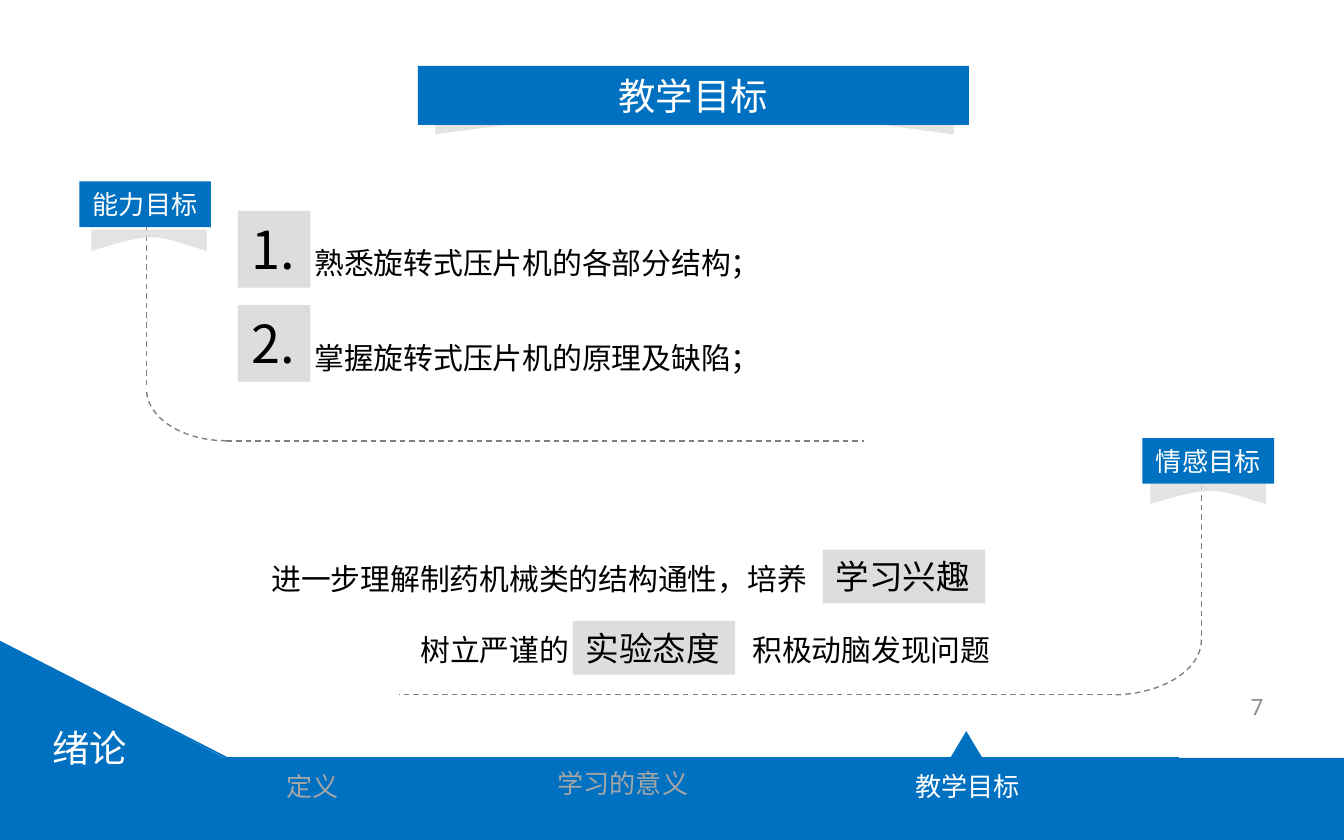
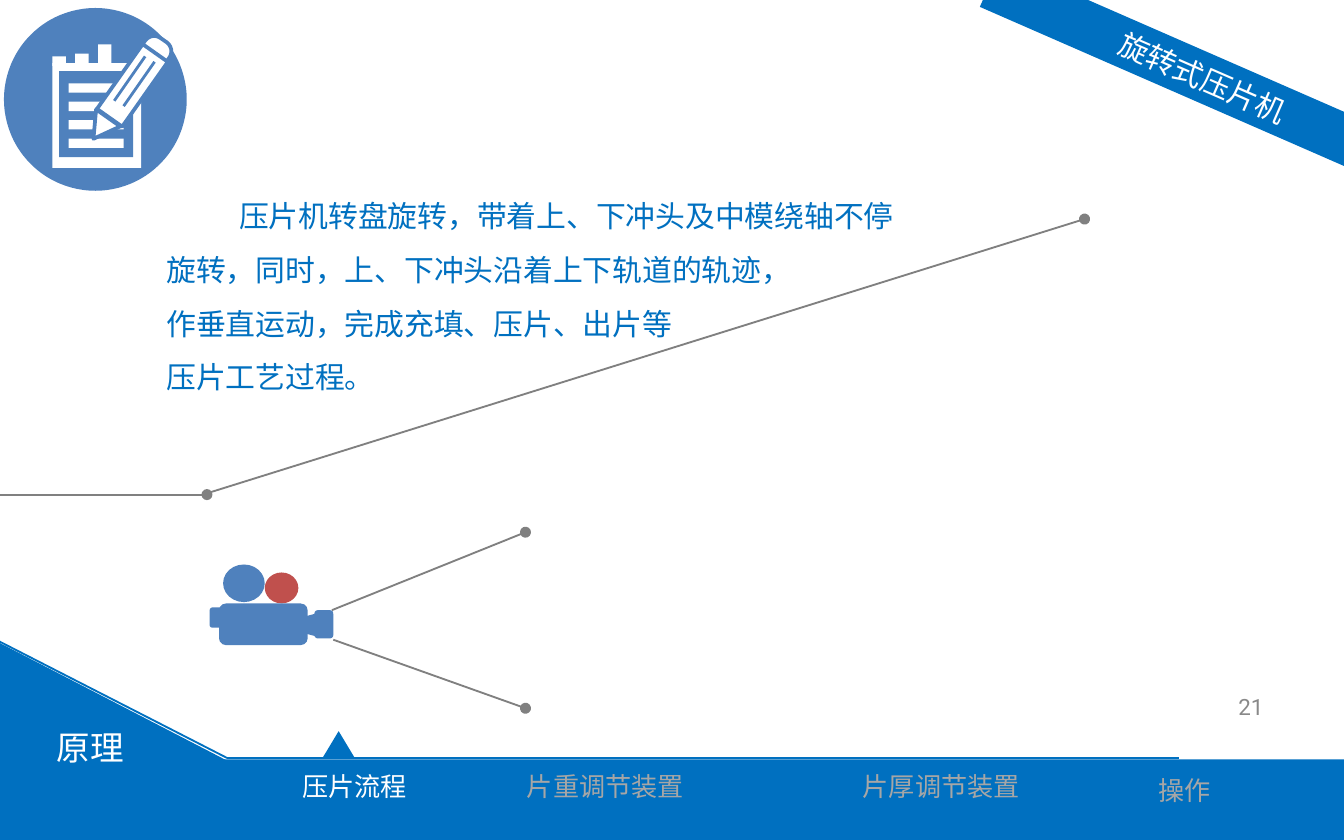
from dataclasses import dataclass
from typing import NamedTuple

from lxml import etree
from pptx import Presentation
from pptx.dml.color import RGBColor
from pptx.enum.dml import MSO_LINE
from pptx.enum.shapes import MSO_CONNECTOR, MSO_SHAPE
from pptx.enum.text import MSO_ANCHOR, MSO_AUTO_SIZE, PP_ALIGN
from pptx.oxml.ns import qn
from pptx.util import Inches, Pt

SLIDE_W, SLIDE_H = Inches(10), Inches(6.25)
COLUMNS = 100  # square grid: 100 columns by 62.5 rows
CELL = SLIDE_W / COLUMNS

BLUE = RGBColor(0x00, 0x70, 0xC0)
ICON_BLUE = RGBColor(0x4F, 0x81, 0xBD)
ICON_RED = RGBColor(0xC0, 0x50, 0x4D)
WHITE = RGBColor(0xFF, 0xFF, 0xFF)
BLACK = RGBColor(0x00, 0x00, 0x00)
PALE = RGBColor(0xDD, 0xDD, 0xDD)
MUTED = RGBColor(0xA6, 0xA6, 0xA6)
PAGE_GRAY = RGBColor(0x89, 0x89, 0x89)
LINE_GRAY = RGBColor(0x80, 0x80, 0x80)

ROBOTO, NOTO = "Roboto", "Noto Sans CJK SC"
LEFT, CENTER, RIGHT = PP_ALIGN.LEFT, PP_ALIGN.CENTER, PP_ALIGN.RIGHT
TOP, MIDDLE = MSO_ANCHOR.TOP, MSO_ANCHOR.MIDDLE
FIT, DASH, STRAIGHT = MSO_AUTO_SIZE.SHAPE_TO_FIT_TEXT, MSO_LINE.DASH, MSO_CONNECTOR.STRAIGHT
RECT, OVAL, ROUND = MSO_SHAPE.RECTANGLE, MSO_SHAPE.OVAL, MSO_SHAPE.ROUNDED_RECTANGLE
TRIANGLE, ARC = MSO_SHAPE.ISOSCELES_TRIANGLE, MSO_SHAPE.ARC

PENCIL_TILT = 215.2
QUARTER = 54.0  # 90 degrees in adjustment units


class Box(NamedTuple):
    left: float
    top: float
    width: float
    height: float


class Point(NamedTuple):
    x: float
    y: float


class Style(NamedTuple):
    size: float
    color: RGBColor
    font: str = ROBOTO
    align: PP_ALIGN = LEFT
    spacing: float | None = None


class Tab(NamedTuple):
    text: str
    left: float
    top: float
    width: float


@dataclass
class Footer:
    section: str
    section_size: float
    tabs: list[Tab]
    active: int
    marker_left: float
    page: str
    top: float


BODY = Style(16, BLACK)
KEYWORD = Style(18, BLACK)
NUMBER = Style(28, BLACK, NOTO)
TITLE = Style(20, WHITE, NOTO, CENTER)
TAG = Style(14, WHITE, NOTO, CENTER)
RIBBON = Style(16, WHITE, NOTO, CENTER)
PROSE = Style(16, BLUE, spacing=1.5)


def u(cells: float) -> int:
    """Grid cells to EMU."""
    return round(cells * CELL)


def place(box: Box) -> list[int]:
    return [u(v) for v in box]


def write(shape, lines: list[str], style: Style, anchor=TOP, wrap=True, fit=True):
    tf = shape.text_frame
    tf.word_wrap = wrap
    tf.vertical_anchor = anchor
    if fit:
        tf.auto_size = FIT
    for i, line in enumerate(lines):
        p = tf.paragraphs[0] if i == 0 else tf.add_paragraph()
        p.text = line
        p.alignment = style.align
        if style.spacing:
            p.line_spacing = style.spacing
        p.font.size = Pt(style.size)
        p.font.name = style.font
        p.font.color.rgb = style.color
    return shape


def text(s, box: Box, lines: list[str], style: Style, **options):
    return write(s.shapes.add_textbox(*place(box)), lines, style, **options)


def paint(shape, fill: RGBColor, outline: RGBColor | None = None, weight: float = 1):
    shape.shadow.inherit = False
    shape.fill.solid()
    shape.fill.fore_color.rgb = fill
    if outline is None:
        shape.line.fill.background()
    else:
        shape.line.color.rgb = outline
        shape.line.width = Pt(weight)
    return shape


def block(s, kind, box: Box, fill: RGBColor, adj: float | None = None,
          tilt: float = 0, outline: RGBColor | None = None, weight: float = 2):
    sp = paint(s.shapes.add_shape(kind, *place(box)), fill, outline, weight)
    sp.rotation = tilt
    if adj is not None:
        sp.adjustments[0] = adj
    return sp


def polygon(s, points: list[Point], fill: RGBColor):
    first, *rest = [(u(x), u(y)) for x, y in points]
    builder = s.shapes.build_freeform(*first)
    builder.add_line_segments(rest, close=True)
    return paint(builder.convert_to_shape(), fill)


def line(s, start: Point, end: Point, color: RGBColor = LINE_GRAY,
         weight: float = 1, dashed: bool = False, dot: bool = False):
    c = s.shapes.add_connector(STRAIGHT, u(start.x), u(start.y), u(end.x), u(end.y))
    c.line.color.rgb = color
    c.line.width = Pt(weight)
    if dashed:
        c.line.dash_style = DASH
    if dot:
        etree.SubElement(c.line._get_or_add_ln(), qn("a:tailEnd"), type="oval")
    etree.SubElement(c._element.spPr, qn("a:effectLst"))


def flap(s, box: Box):
    """Translucent paper fold with a curved lower edge, under a label."""
    curve = [Point(1, 1), Point(0.57, 0.29), Point(0.57, 0), Point(0, 1)]
    points = [Point(0, 0), Point(1, 0)]
    steps = 24
    for i in range(steps + 1):
        t = i / steps
        weights = [(1 - t) ** 3, 3 * t * (1 - t) ** 2, 3 * t * t * (1 - t), t ** 3]
        points.append(Point(sum(w * c.x for w, c in zip(weights, curve)),
                            sum(w * c.y for w, c in zip(weights, curve))))
    sp = polygon(s, [Point(box.left + p.x * box.width, box.top + p.y * box.height)
                     for p in points], PALE)
    color = sp._element.spPr.find(qn("a:solidFill"))[0]
    etree.SubElement(color, qn("a:alpha"), val="80000")


def tag(s, label: str, left: float, top: float, flap_box: Box):
    flap(s, flap_box)
    write(block(s, RECT, Box(left, top, 9.8, 3.4), BLUE), [label], TAG, anchor=MIDDLE)


def bracket(s, box: Box, top: float, far: float):
    """Dashed line down from top, round the corner of box, then across to far."""
    opens_right = far > box.left
    side = box.left if opens_right else box.left + box.width
    bend = Point(box.left + box.width / 2, box.top + box.height)
    arc = s.shapes.add_shape(ARC, *place(box))
    arc.shadow.inherit = False
    arc.adjustments[0] = QUARTER if opens_right else 0
    arc.adjustments[1] = 2 * QUARTER if opens_right else QUARTER
    arc.fill.background()
    arc.line.color.rgb = LINE_GRAY
    arc.line.width = Pt(0.75)
    arc.line.dash_style = DASH
    line(s, Point(side, top), Point(side, box.top + box.height / 2), weight=0.75, dashed=True)
    line(s, bend, Point(far, bend.y), weight=0.75, dashed=True)


def footer(s, f: Footer):
    corner = Point(16.9, 56.4)
    line(s, Point(-0.3, 47.6), corner, BLUE)
    line(s, corner, Point(87.7, corner.y), BLUE)
    block(s, RECT, Box(-0.3, f.top, 100.4, 8.7), BLUE)
    block(s, TRIANGLE, Box(-0.1, f.top - 8.7, 17.2, 8.9), BLUE, adj=0)
    block(s, TRIANGLE, Box(f.marker_left, 54.4, 2.4, 2), BLUE)
    text(s, Box(0.4, f.top - 2.9, 12.6, 4.4), [f.section],
         Style(f.section_size, WHITE, align=CENTER))
    for i, t in enumerate(f.tabs):
        color = WHITE if i == f.active else MUTED
        text(s, Box(t.left, t.top, t.width, 3.4), [t.text], Style(14, color, align=CENTER))
    text(s, Box(71.7, 50.9, 23.3, 3.3), [f.page],
         Style(12, PAGE_GRAY, align=RIGHT), anchor=MIDDLE, fit=False)


def goals_slide(s):
    footer(s, Footer("绪论", 20, [Tab("定义", 14.6, 56.8, 17.3),
                                Tab("学习的意义", 34.8, 56.6, 23.1),
                                Tab("教学目标", 60.2, 56.8, 23.6)],
                     active=2, marker_left=70.7, page="7", top=56.4))
    flap(s, Box(32.4, 7, 38.6, 3))
    write(block(s, RECT, Box(31.1, 4.9, 41, 4.4), BLUE), ["教学目标"], TITLE, anchor=MIDDLE)

    goals = ["熟悉旋转式压片机的各部分结构；", "掌握旋转式压片机的原理及缺陷；"]
    for i, goal in enumerate(goals):
        top = 15.7 + 7 * i
        text(s, Box(22.4, top + 2.05, 52, 3.7), [goal], BODY)
        write(block(s, RECT, Box(17.7, top, 5.4, 5.7), PALE), [f"{i + 1}."], NUMBER, wrap=False)

    bracket(s, Box(10.9, 25.1, 11.9, 7.7), top=16.8, far=64.3)
    bracket(s, Box(76.1, 43.5, 13.3, 8.2), top=34.7, far=29.7)
    tag(s, "能力目标", 5.9, 13.5, Box(6.8, 17.1, 8.6, 1.6))
    tag(s, "情感目标", 85, 32.6, Box(85.6, 36, 8.6, 1.5))

    for left, top, width, phrase in [(19.2, 41.2, 53.9, "进一步理解制药机械类的结构通性，培养"),
                                     (30.3, 46.5, 14, "树立严谨的"),
                                     (55, 46.5, 27.3, "积极动脑发现问题")]:
        text(s, Box(left, top, width, 3.7), [phrase], BODY)
    for left, top, keyword in [(61.2, 40.9, "学习兴趣"), (42.6, 46.2, "实验态度")]:
        write(block(s, RECT, Box(left, top, 12.1, 4), PALE), [keyword], KEYWORD, wrap=False)


def notepad_icon(s):
    block(s, OVAL, Box(0.3, 0.6, 13.6, 13.6), ICON_BLUE)
    block(s, RECT, Box(3.9, 4.7, 6.6, 7.8), WHITE)
    block(s, RECT, Box(4.4, 5.3, 5.5, 6.4), ICON_BLUE)
    for row in range(4):
        block(s, RECT, Box(5.1, 6.2 + 1.37 * row, 4.1, 0.7), WHITE)
    for i, (top, height) in enumerate([(4.2, 0.7), (4, 0.7), (3.3, 1.4)]):
        block(s, RECT, Box(3.9 + 1.7 * i, top, 1, height), WHITE)
    for kind, box, adj in [(ROUND, Box(10.5, 2.8, 2.2, 2), 0.41),
                           (TRIANGLE, Box(6.4, 8.6, 2.2, 1.9), 0.5),
                           (RECT, Box(8.7, 3.4, 2.3, 5.9), None)]:
        block(s, kind, box, WHITE, adj, PENCIL_TILT, ICON_BLUE)
    for x, y in [(10.8, 4.2), (11.5, 4.6)]:
        line(s, Point(x, y), Point(x - 2.3, y + 3.3), ICON_BLUE, 1.5)


def camera_icon(s):
    block(s, OVAL, Box(16.6, 42, 3.1, 2.8), ICON_BLUE)
    block(s, OVAL, Box(19.7, 42.6, 2.5, 2.3), ICON_RED)
    for box in [Box(16.3, 44.9, 6.6, 3.1), Box(15.6, 45.2, 1.2, 1.5), Box(23.4, 45.4, 1.4, 2.1)]:
        block(s, ROUND, box, ICON_BLUE)
    polygon(s, [Point(23.7, 47.4), Point(22.2, 47), Point(22.2, 46), Point(23.7, 45.6)], ICON_BLUE)


def process_slide(s):
    write(block(s, RECT, Box(72.2, 3.9, 34.6, 3.7), BLUE, tilt=23.6),
          ["旋转式压片机"], RIBBON, anchor=MIDDLE)
    notepad_icon(s)
    for start, end in [(Point(-1.2, 36.8), Point(15.4, 36.8)),
                       (Point(15.1, 36.8), Point(80.7, 16.3)),
                       (Point(24.7, 45.4), Point(39.1, 39.6)),
                       (Point(24.8, 47.6), Point(39.1, 52.7))]:
        line(s, start, end, dot=True)
    prose = text(s, Box(11.4, 12.9, 56.7, 17.2),
                 ["压片机转盘旋转，带着上、下冲头及中模绕轴不停旋转，同时，上、下冲头沿着上下轨道的轨迹，",
                  "作垂直运动，完成充填、压片、出片等",
                  "压片工艺过程。"], PROSE)
    prose.text_frame.paragraphs[0]._p.get_or_add_pPr().set("indent", str(u(5.4)))
    camera_icon(s)
    footer(s, Footer("原理", 18, [Tab("压片流程", 15, 56.8, 22.8),
                                Tab("片重调节装置", 33.5, 56.8, 23.1),
                                Tab("片厚调节装置", 53.9, 56.8, 32.3),
                                Tab("操作", 72, 57.1, 32.3)],
                     active=0, marker_left=24, page="21", top=56.5))


def main():
    prs = Presentation()
    prs.slide_width, prs.slide_height = SLIDE_W, SLIDE_H
    blank = prs.slide_layouts[6]
    for build in (goals_slide, process_slide):
        build(prs.slides.add_slide(blank))
    prs.save("out.pptx")


if __name__ == "__main__":
    main()
